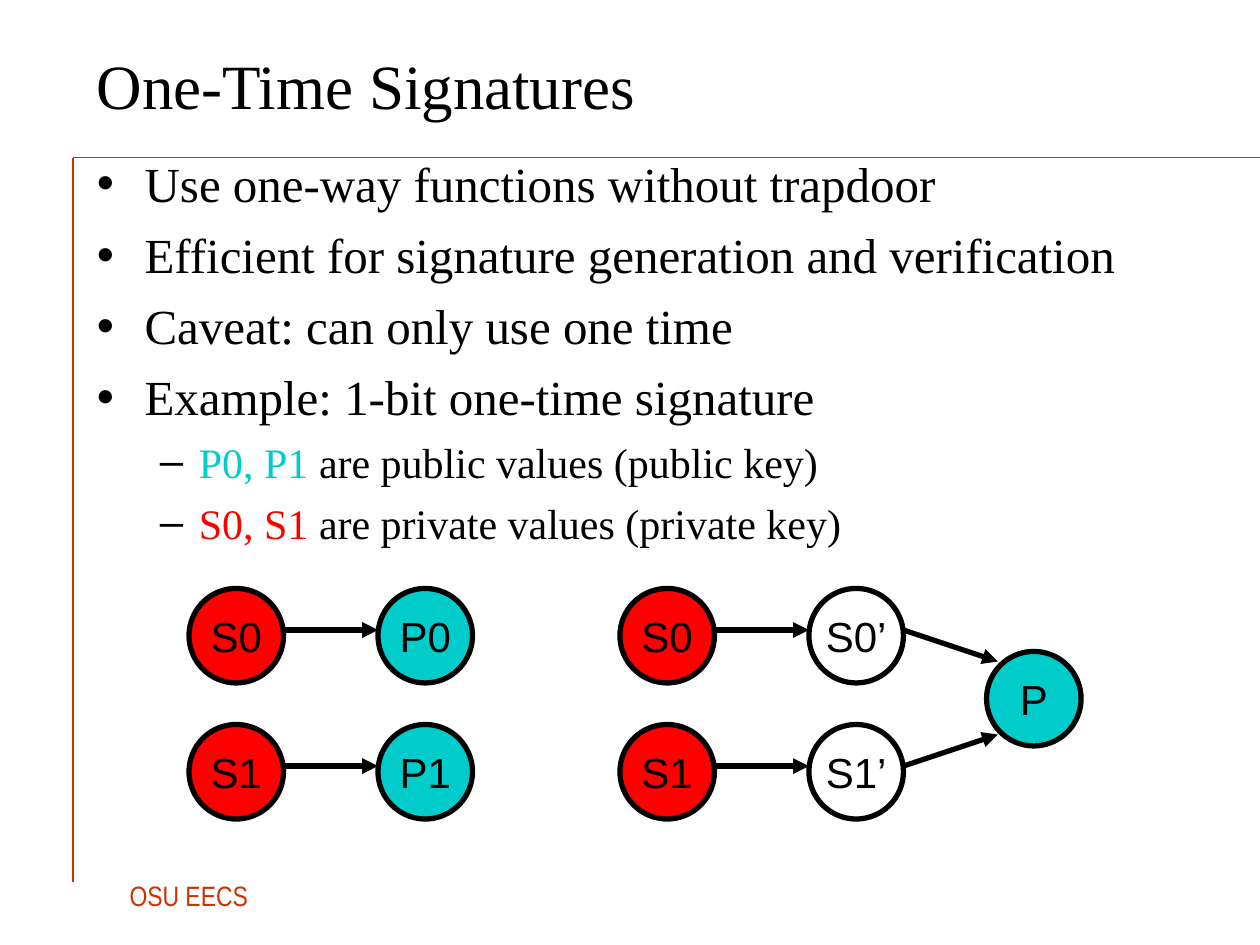
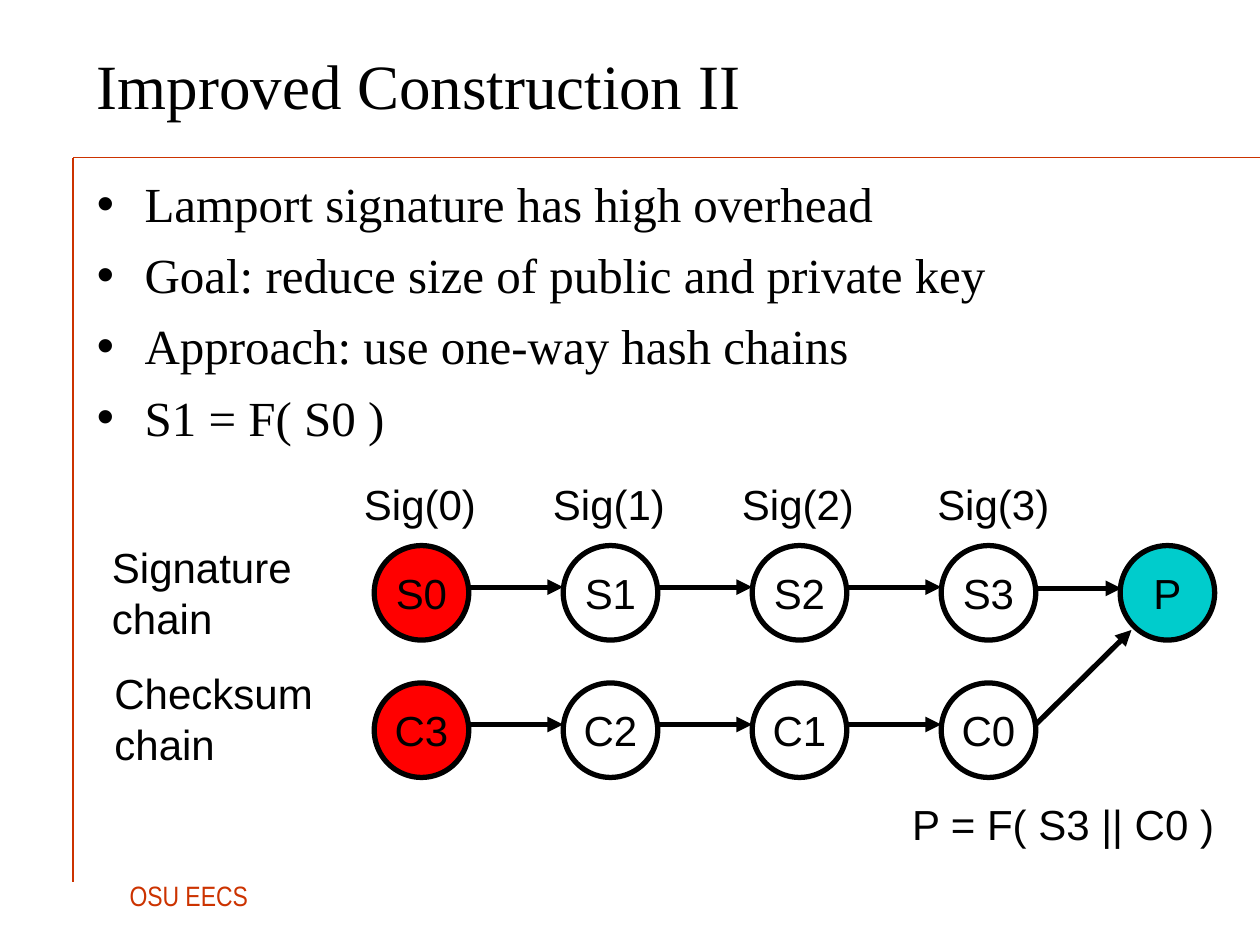
from lxml import etree
from pptx import Presentation
from pptx.dml.color import RGBColor
from pptx.enum.shapes import MSO_CONNECTOR, MSO_SHAPE
from pptx.enum.text import MSO_ANCHOR, PP_ALIGN
from pptx.oxml.ns import qn
from pptx.util import Inches, Pt

STRAIGHT = MSO_CONNECTOR.STRAIGHT
CIRCLE = MSO_SHAPE.OVAL
MIDDLE = MSO_ANCHOR.MIDDLE
CENTER = PP_ALIGN.CENTER

BLACK, RUST, PRIVATE, PUBLIC = "000000", "CC3300", "FF0000", "00CCCC"
SERIF, SANS, NARROW = "Times New Roman", "Arial", "Arial Narrow"
DIAMETER = 0.75
STEP = 1.5
ARROW_DROP = 0.33
LEVELS = [
    {"size": 28, "bullet": "•", "margin": 0.38, "hang": 0.38, "before": 7},
    {"size": 24, "bullet": "–", "margin": 0.81, "hang": 0.31, "before": 6},
]


def rgb(code):
    """Turn a hex string into a colour."""
    return RGBColor.from_string(code)


def style_run(run, size, font, color=BLACK):
    """Set the size, typeface and colour of a run."""
    run.font.size = Pt(size)
    run.font.name = font
    run.font.color.rgb = rgb(color)


def add_line(slide, start, end, color, width, arrow=False):
    """Draw a straight line between two points, with an optional arrowhead."""
    points = [Inches(value) for value in (*start, *end)]
    line = slide.shapes.add_connector(STRAIGHT, *points)
    line.line.color.rgb = rgb(color)
    line.line.width = Pt(width)
    properties = line.line._get_or_add_ln()
    if arrow:
        etree.SubElement(properties, qn("a:tailEnd"), type="triangle")
    etree.SubElement(properties.getparent(), qn("a:effectLst"))


def add_arrow(slide, start, end):
    """Draw a black arrow for one application of the one-way function."""
    add_line(slide, start, end, BLACK, 3, arrow=True)


def add_label(slide, text, left, top, width, height, size=24, font=SANS, color=BLACK):
    """Write a label whose lines fit its width and return its text frame."""
    box = slide.shapes.add_textbox(*map(Inches, (left, top, width, height)))
    frame = box.text_frame
    frame.word_wrap = True
    frame.margin_right = 0
    frame.text = text
    for paragraph in frame.paragraphs:
        style_run(paragraph.runs[0], size, font, color)
    return frame


def add_title(slide, text):
    """Write the slide title."""
    box = slide.shapes.add_textbox(*map(Inches, (0.67, 0.17, 9.01, 1)))
    frame = box.text_frame
    frame.word_wrap = True
    frame.vertical_anchor = MIDDLE
    frame.text = text
    style_run(frame.paragraphs[0].runs[0], 36, SERIF)


def format_bullet(paragraph, level):
    """Give a paragraph the hanging bullet of its level."""
    look = LEVELS[level]
    paragraph.level = level
    properties = paragraph._p.get_or_add_pPr()
    properties.set("marL", str(Inches(look["margin"])))
    properties.set("indent", str(-Inches(look["hang"])))
    bullet_color = etree.SubElement(properties, qn("a:buClr"))
    etree.SubElement(bullet_color, qn("a:srgbClr"), val=BLACK)
    etree.SubElement(properties, qn("a:buFont"), typeface=SANS)
    etree.SubElement(properties, qn("a:buChar"), char=look["bullet"])


def add_bullets(slide, top, width, height, items):
    """Write bullets given as a level and a list of (text, colour) parts."""
    box = slide.shapes.add_textbox(*map(Inches, (0.67, top, width, height)))
    frame = box.text_frame
    frame.word_wrap = True
    for index, (level, parts) in enumerate(items):
        paragraph = frame.add_paragraph() if index else frame.paragraphs[0]
        format_bullet(paragraph, level)
        paragraph.space_before = Pt(LEVELS[level]["before"] if index else 0)
        for text, color in parts:
            run = paragraph.add_run()
            run.text = text
            style_run(run, LEVELS[level]["size"], SERIF, color)


def plain(text):
    """Describe a first-level black bullet."""
    return 0, [(text, BLACK)]


def add_value(slide, name, left, top, fill=None):
    """Draw a circle that holds a key or chain value."""
    circle = slide.shapes.add_shape(
        CIRCLE, *map(Inches, (left, top, DIAMETER, DIAMETER)))
    circle.shadow.inherit = False
    if fill:
        circle.fill.solid()
        circle.fill.fore_color.rgb = rgb(fill)
    else:
        circle.fill.background()
    circle.line.color.rgb = rgb(BLACK)
    circle.line.width = Pt(3)
    frame = circle.text_frame
    frame.word_wrap = False
    frame.vertical_anchor = MIDDLE
    frame.text = name
    frame.paragraphs[0].alignment = CENTER
    style_run(frame.paragraphs[0].runs[0], 24, SANS)


def add_chain(slide, names, left, top, last_fill=None):
    """Draw values joined by arrows, starting from a private one."""
    fills = [PRIVATE] + [None] * (len(names) - 2) + [last_fill]
    arrow_y = top + ARROW_DROP
    for index, (name, fill) in enumerate(zip(names, fills)):
        value_left = left + index * STEP
        add_value(slide, name, value_left, top, fill)
        if index:
            add_arrow(slide, (value_left - STEP + DIAMETER, arrow_y),
                      (value_left, arrow_y))


def add_page(deck, title):
    """Add a slide with the rules, footer and title that all slides share."""
    slide = deck.slides.add_slide(deck.slide_layouts[6])
    corner = (0.58, 1.25)
    add_line(slide, corner, (10, 1.25), RUST, 0.25)
    add_line(slide, corner, (0.58, 7), RUST, 0.75)
    footer = add_label(slide, "OSU EECS", 0.93, 6.92, 1.19, 0.37, 16, NARROW, RUST)
    footer.paragraphs[0].space_before = Pt(4)
    add_title(slide, title)
    return slide


def build_one_time_signatures(deck):
    """Build the slide on 1-bit one-time signatures."""
    slide = add_page(deck, "One-Time Signatures")
    add_bullets(slide, 1.17, 9.33, 5.08, [
        plain("Use one-way functions without trapdoor"),
        plain("Efficient for signature generation and verification"),
        plain("Caveat: can only use one time"),
        plain("Example: 1-bit one-time signature"),
        (1, [("P0, P1", PUBLIC), (" are public values (public key)", BLACK)]),
        (1, [("S0, S1", PRIVATE), (" are private values (private key)", BLACK)]),
    ])
    for bit, top, merge_y in ((0, 4.67, 5.25), (1, 5.75, 5.83)):
        add_chain(slide, [f"S{bit}", f"P{bit}"], 1.5, top, PUBLIC)
        add_chain(slide, [f"S{bit}", f"S{bit}’"], 4.92, top)
        add_arrow(slide, (7.17, top + ARROW_DROP), (7.92, merge_y))
    add_value(slide, "P", 7.83, 5.17, PUBLIC)


def build_improved_construction(deck):
    """Build the slide on signature and checksum hash chains."""
    slide = add_page(deck, "Improved Construction II")
    add_bullets(slide, 1.33, 9.03, 5.42, [
        plain("Lamport signature has high overhead"),
        plain("Goal: reduce size of public and private key"),
        plain("Approach: use one-way hash chains"),
        plain("S1 = F( S0 )"),
    ])
    add_chain(slide, ["S0", "S1", "S2", "S3"], 2.97, 4.33)
    add_chain(slide, ["C3", "C2", "C1", "C0"], 2.97, 5.42)
    add_value(slide, "P", 8.89, 4.33, PUBLIC)
    add_arrow(slide, (8.22, 4.67), (8.9, 4.67))
    add_arrow(slide, (8.22, 5.75), (8.98, 5))
    add_label(slide, "Signature\nchain", 0.79, 4.25, 1.62, 0.9)
    add_label(slide, "Checksum\nchain", 0.81, 5.25, 1.77, 0.9)
    add_label(slide, "P = F( S3 || C0 )", 7.14, 6.29, 2.6, 0.5)
    for index, left in enumerate((2.79, 4.29, 5.79, 7.34)):
        add_label(slide, f"Sig({index})", left, 3.75, 1.09, 0.5)


def main():
    """Build and save the deck."""
    deck = Presentation()
    deck.slide_width = Inches(10)
    deck.slide_height = Inches(7.5)
    build_one_time_signatures(deck)
    build_improved_construction(deck)
    deck.save("out.pptx")


if __name__ == "__main__":
    main()
